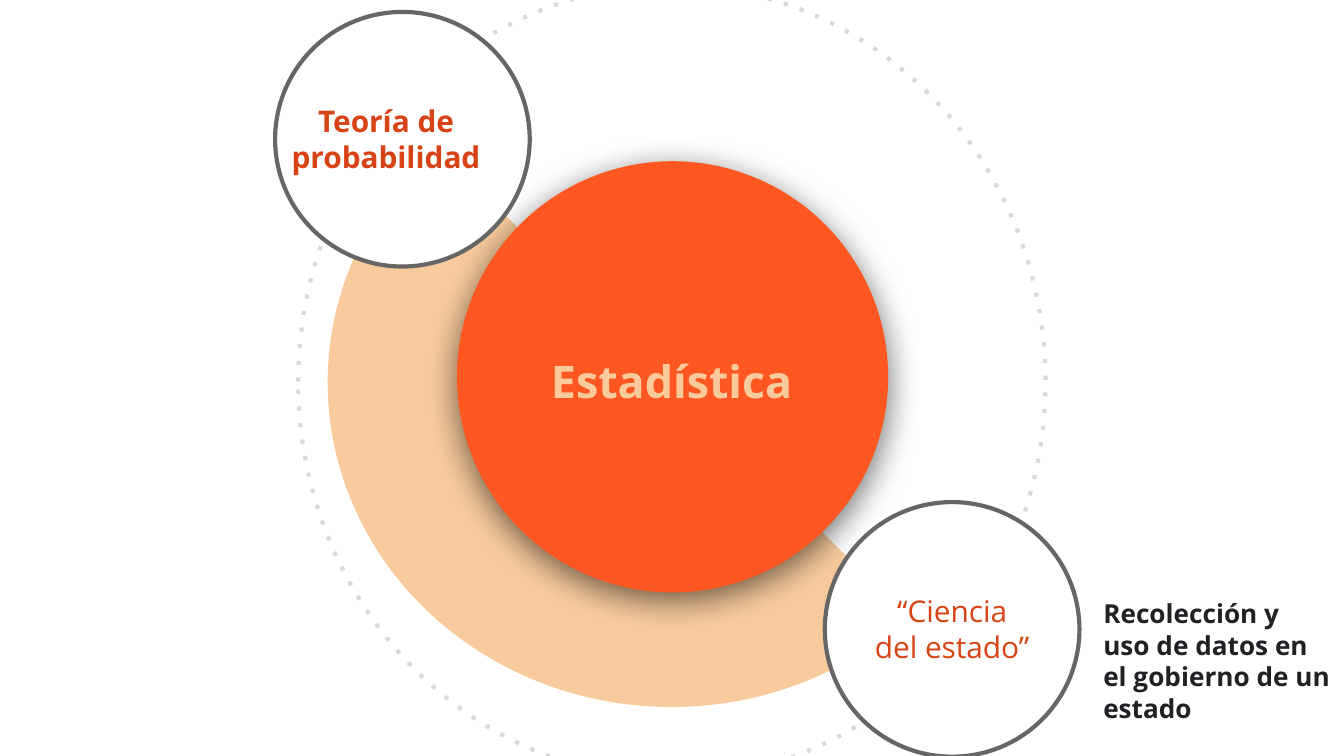
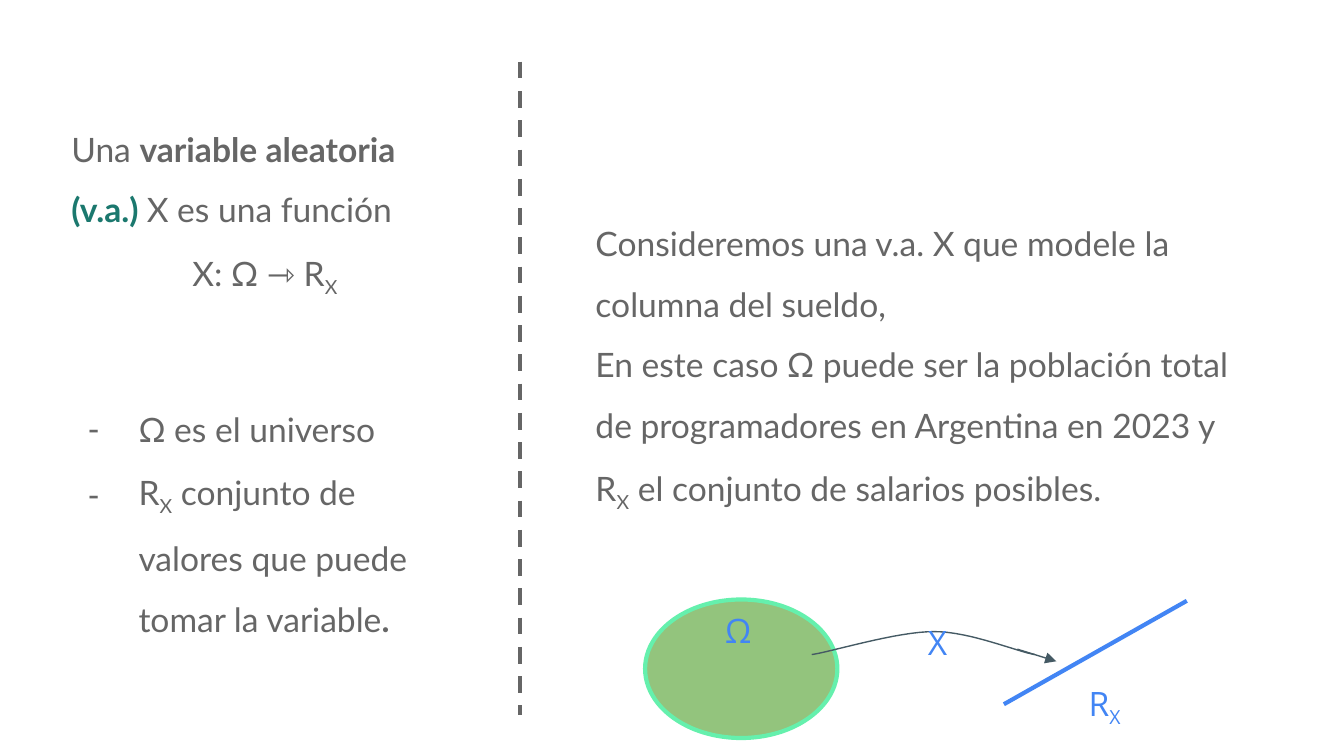
from dataclasses import dataclass, field

from lxml import etree
from pptx import Presentation
from pptx import util as u
from pptx.dml.color import RGBColor
from pptx.enum import dml, shapes, text
from pptx.oxml import ns

Pt = u.Pt
LEFT, CENTER = text.PP_ALIGN.LEFT, text.PP_ALIGN.CENTER
TOP, MIDDLE = text.MSO_ANCHOR.TOP, text.MSO_ANCHOR.MIDDLE


@dataclass(frozen=True)
class Theme:
    white: str = "FFFFFF"
    gray: str = "666666"
    dotted: str = "D9D9D9"
    peach: str = "F9CB9C"
    orange: str = "FF5722"
    rust: str = "D84315"
    ink: str = "202124"
    teal: str = "1B786E"
    leaf: str = "93C47D"
    mint: str = "65F0AD"
    blue: str = "4285F4"
    slate: str = "455A64"
    heading_font: str = "Open Sans"
    body_font: str = "Lato"
    headline: int = 24
    body: int = 18
    label: int = 16
    note: int = 14
    inset: float = 7.2
    thick: float = 2.25
    thin: float = 0.75


THEME = Theme()


@dataclass(frozen=True)
class Style:
    name: str
    size: int
    color: str
    bold: bool = False


@dataclass(frozen=True)
class Span:
    words: str
    bold: bool = None
    color: str = None
    subscript: bool = False


@dataclass(frozen=True)
class Para:
    spans: list = field(default_factory=list)
    align: int = LEFT
    spacing: float = 1.5
    before: float = 0
    bullet: str = None


BODY = Style(THEME.body_font, THEME.body, THEME.gray)
SYMBOL = Style(THEME.heading_font, THEME.body, THEME.blue)
SUB_X = Span("X", subscript=True)


def rgb(color):
    return RGBColor.from_string(color)


def add_xml(parent, tag, **attributes):
    child = etree.SubElement(parent, ns.qn(tag))
    for key, value in attributes.items():
        child.set(key, str(value))
    return child


def points(box):
    return [Pt(value) for value in box]


def set_font(font, style, bold=None, color=None):
    font.name = style.name
    font.size = Pt(style.size)
    font.bold = style.bold if bold is None else bold
    font.color.rgb = rgb(color or style.color)


def set_bullet(para, bullet):
    props = para._p.get_or_add_pPr()
    props.set("marL", str(Pt(36) if bullet else 0))
    props.set("indent", str(Pt(-27) if bullet else 0))
    if bullet:
        add_xml(add_xml(props, "a:buClr"), "a:srgbClr", val=THEME.gray)
        add_xml(props, "a:buChar", char=bullet)
    else:
        add_xml(props, "a:buNone")


def write(shape, paras, style, anchor=MIDDLE, bottom=THEME.inset):
    frame = shape.text_frame
    frame.word_wrap = True
    frame.auto_size = text.MSO_AUTO_SIZE.NONE
    frame.vertical_anchor = anchor
    frame.margin_left = frame.margin_right = frame.margin_top = Pt(THEME.inset)
    frame.margin_bottom = Pt(bottom)
    for index, item in enumerate(paras):
        para = frame.add_paragraph() if index else frame.paragraphs[0]
        para.alignment = item.align
        para.line_spacing = item.spacing
        para.space_before = Pt(item.before)
        para.space_after = Pt(0)
        set_bullet(para, item.bullet)
        set_font(para.font, style)
        for part in item.spans:
            span = para.add_run()
            span.text = part.words
            set_font(span.font, style, part.bold, part.color)
            if part.subscript:
                span._r.get_or_add_rPr().set("baseline", "-25000")


def add_label(page, box, spans, style, align=CENTER, spacing=1, anchor=MIDDLE):
    label = page.shapes.add_textbox(*points(box))
    write(label, [Para(spans, align, spacing)], style, anchor)


def paint(shape, fill=None, line=None, width=THEME.thick):
    shape.shadow.inherit = False
    if fill:
        shape.fill.solid()
        shape.fill.fore_color.rgb = rgb(fill)
    else:
        shape.fill.background()
    if line:
        shape.line.color.rgb = rgb(line)
        shape.line.width = Pt(width)
    else:
        shape.line.fill.background()


def add_figure(page, kind, box, fill=None, line=None):
    figure = page.shapes.add_shape(kind, *points(box))
    paint(figure, fill, line)
    return figure


def add_line(page, start, end, color, width=THEME.thick):
    line = page.shapes.add_connector(
        shapes.MSO_CONNECTOR.STRAIGHT, *points((*start, *end)))
    line.line.color.rgb = rgb(color)
    line.line.width = Pt(width)
    add_xml(line._element.spPr, "a:effectLst")
    return line


def add_soft_shadow(shape):
    effects = shape._element.spPr.find(ns.qn("a:effectLst"))
    shadow = add_xml(effects, "a:outerShdw", blurRad=Pt(18), dist=Pt(4),
                     dir=90 * 60000, algn="bl", rotWithShape=0)
    color = add_xml(shadow, "a:srgbClr", val="000000")
    add_xml(color, "a:alpha", val=54000)


def draw_core(page, box):
    left, top, width, height = box
    oval = shapes.MSO_SHAPE.OVAL
    ring = add_figure(page, oval, box, line=THEME.dotted)
    ring.line.dash_style = dml.MSO_LINE.ROUND_DOT
    ring._element.xpath(".//a:prstDash")[0].set("val", "dot")

    sector = add_figure(page, shapes.MSO_SHAPE.PIE,
                        (left + 15.8, top + 38.9, 368.4, 347.8), THEME.peach)
    sector.adjustments[0] = 26.9
    sector.adjustments[1] = 135.11

    disc = add_figure(page, oval, (left + 85, top + 94.3, 231, 231), THEME.orange)
    add_soft_shadow(disc)
    add_label(page, (left + 80.5, top + 157, 239, 105), [Span("Estadística")],
              Style(THEME.heading_font, THEME.headline, THEME.peach, True),
              spacing=1.15)


def draw_bubble(page, box, words, label_left, label_width, bold):
    left, top, width, height = box
    add_figure(page, shapes.MSO_SHAPE.OVAL, box, THEME.white, THEME.gray)
    add_label(page, (left + label_left, top + 21.4, label_width, 93),
              [Span(words)],
              Style(THEME.heading_font, THEME.label, THEME.rust, bold))


def build_origins(deck):
    page = deck.slides.add_slide(deck.slide_layouts[6])
    size = 136.4
    draw_core(page, (159.8, -7.9, 400.3, 424.8))
    draw_bubble(page, (147.4, 6.4, size, size), "Teoría de probabilidad",
                0, 118.8, True)
    draw_bubble(page, (441.9, 269, size, size), "“Ciencia del estado”",
                19.6, 97.2, False)
    add_label(page, (584, 307.4, 136, 93),
              [Span("Recolección y uso de datos en el gobierno de un estado")],
              Style(THEME.heading_font, THEME.note, THEME.ink, True), LEFT)


def place_body(holder, box, paras, bottom=THEME.inset):
    holder.left, holder.top, holder.width, holder.height = points(box)
    write(holder, paras, BODY, bottom=bottom)


def bezier(start, first, second, end, steps=16):
    for step in range(1, steps + 1):
        t = step / steps
        s = 1 - t
        yield tuple(
            Pt(s**3 * a + 3 * s * s * t * b + 3 * s * t * t * c + t**3 * d)
            for a, b, c, d in zip(start, first, second, end))


def draw_mapping(page, box):
    left, top, width, height = box

    def at(x, y):
        return left + x, top + y

    add_figure(page, shapes.MSO_SHAPE.OVAL, (*at(0, 5.8), 103, 74.2),
               THEME.leaf, THEME.mint)
    add_label(page, (*at(32.2, 5.8), 35.3, 10.8), [Span("Ω")], SYMBOL, spacing=2)

    start, peak, end = at(89.3, 35.3), at(154.8, 23), at(208.8, 35.3)
    curve = page.shapes.build_freeform(*points(start), scale=1.0)
    curve.add_line_segments(
        [*bezier(start, at(100, 33.8), at(134.6, 23), peak),
         *bezier(peak, at(174.2, 23), at(199.4, 33.8), end)], close=False)
    paint(curve.convert_to_shape(), line=THEME.slate, width=THEME.thin)

    add_line(page, at(192.2, 61.9), at(290.2, 6.5), THEME.blue)
    add_label(page, (*at(111.6, 0), 90, 36), [Span("X")], SYMBOL,
              spacing=1.5, anchor=TOP)
    arrow = add_line(page, at(199.4, 32.4), at(220.3, 38.9),
                     THEME.slate, THEME.thin)
    add_xml(arrow.line._get_or_add_ln(), "a:tailEnd", type="triangle")
    add_label(page, (*at(229.7, 31), 33, 36), [Span("R"), SUB_X], SYMBOL,
              spacing=1.5, anchor=TOP)


def build_random_variable(deck):
    page = deck.slides.add_slide(deck.slide_layouts[3])
    title, definition, example = page.placeholders
    title._element.getparent().remove(title._element)

    place_body(definition, (31, 27.4, 221.8, 345.6), [
        Para([Span("Una "), Span("variable aleatoria ", bold=True),
              Span("(v.a.) ", bold=True, color=THEME.teal),
              Span("X es una función")]),
        Para([Span("X: Ω ⇾ R"), SUB_X], align=CENTER),
        Para([Span("Ω es el universo")], before=48.4, bullet="-"),
        Para([Span("R"), SUB_X,
              Span(" conjunto de valores que puede tomar la variable"),
              Span(".", bold=True)], bullet="-"),
    ])
    divider = add_line(page, (278.6, 33.1), (278.6, 383), THEME.gray)
    divider.line.dash_style = dml.MSO_LINE.DASH
    place_body(example, (311.8, 35.3, 363.6, 345.6), [
        Para([Span("Consideremos una v.a. X que modele la columna del sueldo,")]),
        Para([Span("En este caso Ω puede ser la población total de "
                   "programadores en Argentina en 2023 y R"), SUB_X,
              Span(" el conjunto de salarios posibles.")]),
    ], bottom=THEME.inset + 32.4)
    draw_mapping(page, (345.6, 315.4, 290.2, 80))


def main():
    deck = Presentation()
    deck.slide_width, deck.slide_height = Pt(720), Pt(405)
    build_origins(deck)
    build_random_variable(deck)
    deck.save("out.pptx")


if __name__ == "__main__":
    main()
